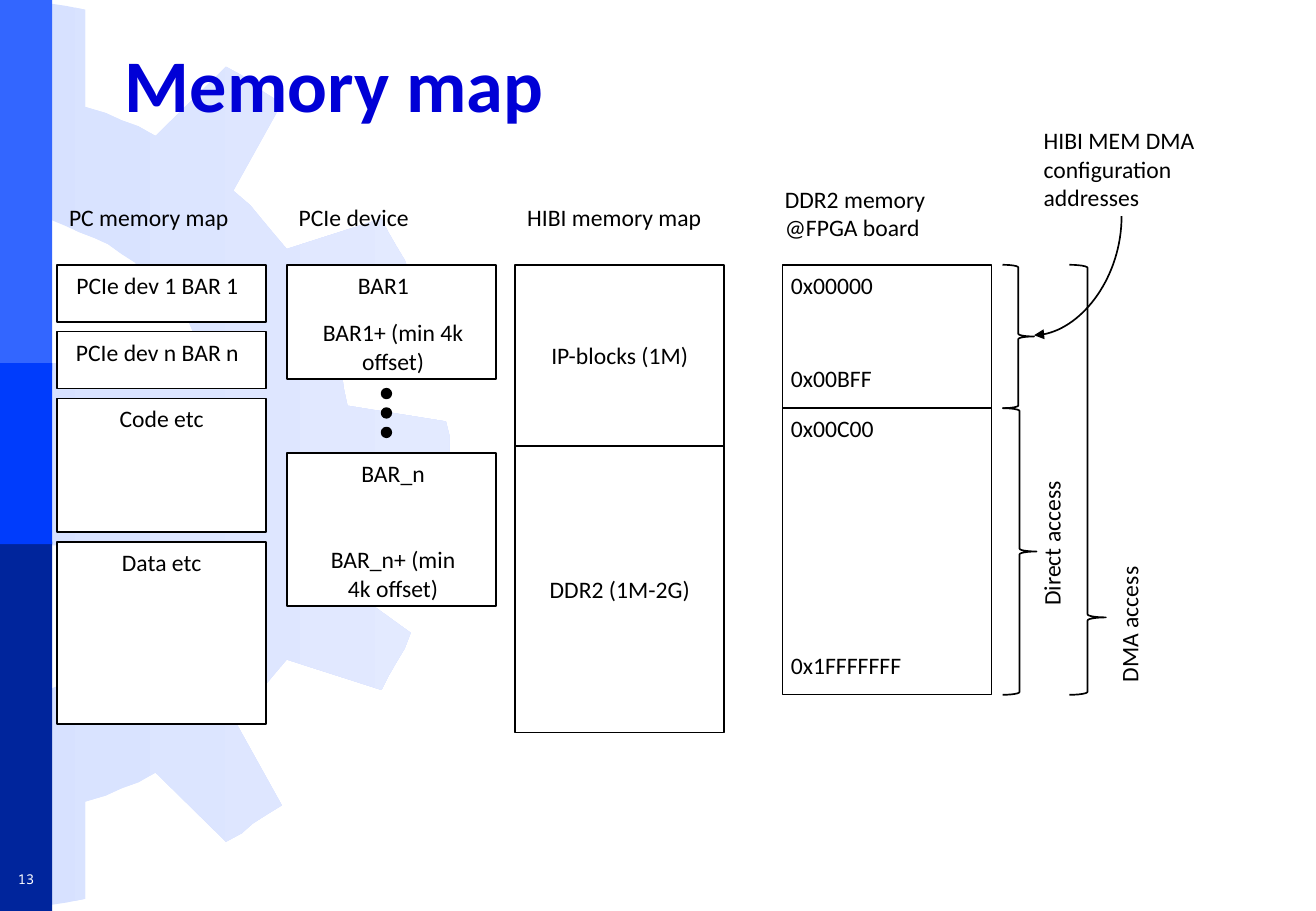
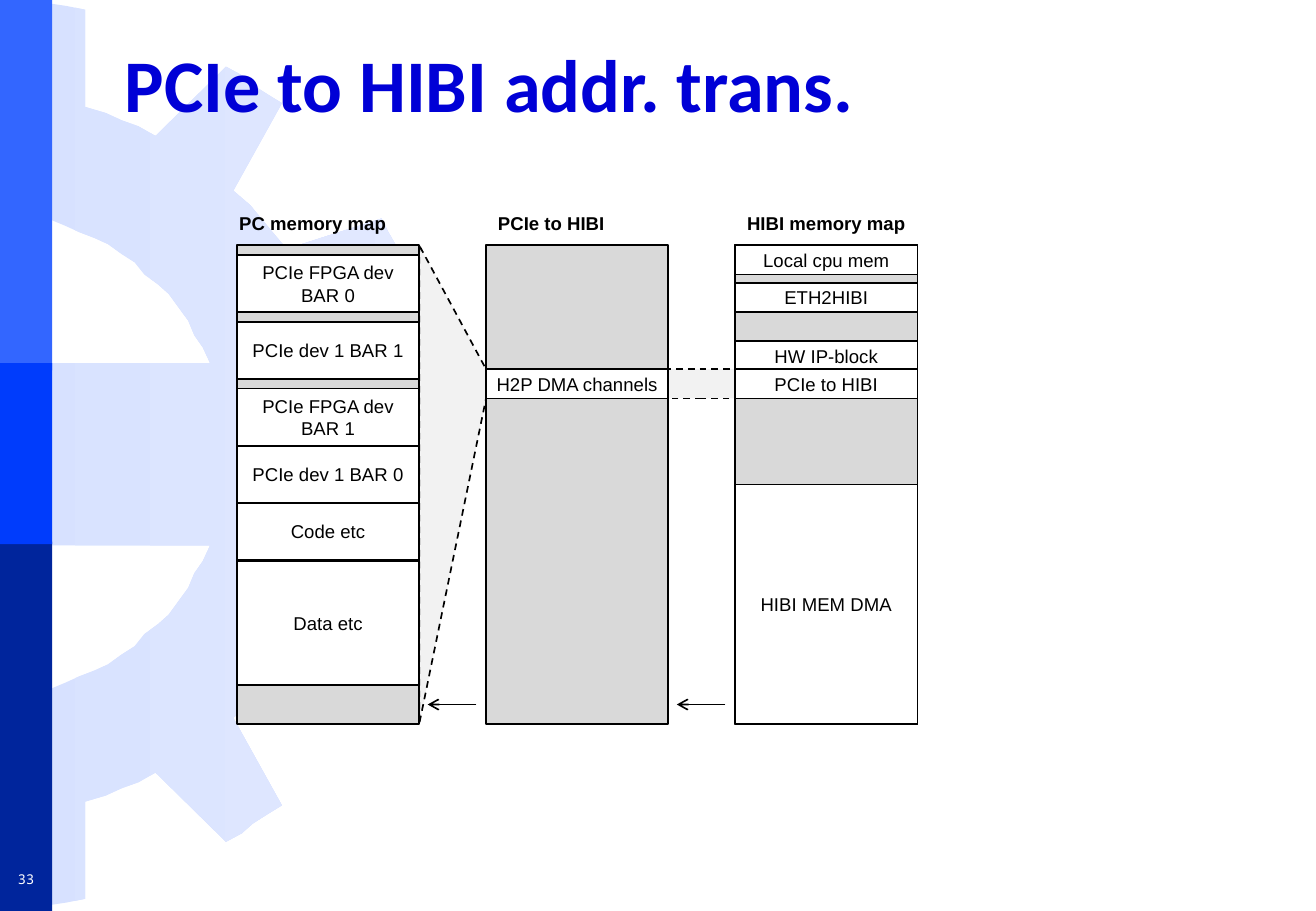
from typing import NamedTuple

from lxml import etree
from pptx import Presentation
from pptx.dml.color import RGBColor
from pptx.enum.dml import MSO_LINE
from pptx.enum.shapes import MSO_CONNECTOR, MSO_SHAPE
from pptx.enum.text import MSO_ANCHOR, PP_ALIGN
from pptx.oxml.ns import qn
from pptx.shapes.autoshape import Shape
from pptx.shapes.connector import Connector
from pptx.slide import Slide
from pptx.util import Inches, Pt

RECTANGLE, ELLIPSE, BRACE = MSO_SHAPE.RECTANGLE, MSO_SHAPE.OVAL, MSO_SHAPE.LEFT_BRACE
STRAIGHT, CURVE = MSO_CONNECTOR.STRAIGHT, MSO_CONNECTOR.CURVE
LEFT, CENTER = PP_ALIGN.LEFT, PP_ALIGN.CENTER
TOP, MIDDLE = MSO_ANCHOR.TOP, MSO_ANCHOR.MIDDLE
DASH = MSO_LINE.DASH

BLACK = RGBColor(0x00, 0x00, 0x00)
WHITE = RGBColor(0xFF, 0xFF, 0xFF)
TITLE_BLUE = RGBColor(0x00, 0x00, 0xD6)
BAND_LIGHT = RGBColor(0x33, 0x66, 0xFF)
BAND_MIDDLE = RGBColor(0x00, 0x3C, 0xFC)
BAND_DARK = RGBColor(0x00, 0x25, 0x9C)
GEAR_START = RGBColor(0xD7, 0xE1, 0xFF)
GEAR_END = RGBColor(0xE3, 0xEA, 0xFF)
UNUSED_GRAY = RGBColor(0xD9, 0xD9, 0xD9)
FUNNEL_GRAY = RGBColor(0xF2, 0xF2, 0xF2)

SANS, DIAGRAM_SANS, MONO = "Calibri", "Arial", "Noto Sans Mono"
BAND_WIDTH = 0.43

# Upper half of the gear: teeth from the right-hand tip, then the inner rim.
GEAR_HEIGHT = 7.48
GEAR_HALF = [
    (3.7, 3.73), (3.7, 3.59), (3.67, 3.47), (2.86, 3.34), (2.83, 3.2), (2.81, 3.05),
    (2.75, 2.91), (2.73, 2.74), (3.38, 2.27), (3.33, 2.14), (3.27, 2.04), (3.2, 1.92),
    (3.14, 1.8), (2.36, 2.05), (2.25, 1.92), (2.15, 1.8), (2.06, 1.69), (1.92, 1.57),
    (2.32, 0.85), (2.19, 0.77), (2.08, 0.7), (1.99, 0.62), (1.86, 0.55), (1.28, 1.12),
    (1.14, 1.04), (1, 0.99), (0.87, 0.93), (0.7, 0.88), (0.7, 0.08), (0.55, 0.05),
    (0.42, 0.03), (0.29, 0.01), (0.14, 0), (0.14, 1.76), (0.28, 1.8), (0.42, 1.81),
    (0.54, 1.86), (0.65, 1.91), (0.78, 1.96), (0.89, 2.01), (1, 2.09), (1.11, 2.16),
    (1.19, 2.26), (1.3, 2.34), (1.39, 2.42), (1.47, 2.53), (1.55, 2.64), (1.6, 2.76),
    (1.67, 2.86), (1.73, 2.99), (0, 2.99),
]


class Area(NamedTuple):
    left: float
    top: float
    width: float
    height: float


class Label(NamedTuple):
    text: str
    area: Area
    align: PP_ALIGN = LEFT
    rotation: int = 0


class Block(NamedTuple):
    text: str
    top: float
    height: float
    wrap: bool = False


class Column(NamedTuple):
    heading: str
    heading_left: float
    left: float
    blocks: list[Block]


class Brace(NamedTuple):
    area: Area
    tip: float = 0.5


def write_text(shape: Shape, text: str, *, size: float = 14, font: str = SANS,
               color: RGBColor = BLACK, bold: bool = False, align: PP_ALIGN = LEFT,
               anchor: MSO_ANCHOR = TOP, wrap: bool = True) -> None:
    frame = shape.text_frame
    frame.word_wrap = wrap
    frame.vertical_anchor = anchor
    para = frame.paragraphs[0]
    para.alignment = align
    span = para.add_run()
    span.text = text
    span.font.size = Pt(size)
    span.font.name = font
    span.font.bold = bold
    span.font.color.rgb = color


def add_text_box(page: Slide, area: Area) -> Shape:
    return page.shapes.add_textbox(*map(Inches, area))


def paint(shape: Shape, fill: RGBColor | None, line: RGBColor | None = BLACK,
          dash: MSO_LINE | None = None) -> None:
    shape.shadow.inherit = False
    if fill is None:
        shape.fill.background()
    else:
        shape.fill.solid()
        shape.fill.fore_color.rgb = fill
    if line is None:
        shape.line.fill.background()
    else:
        shape.line.color.rgb = line
        shape.line.width = Pt(1)
        shape.line.dash_style = dash


def add_box(page: Slide, area: Area, fill: RGBColor | None = WHITE,
            line: RGBColor | None = BLACK, kind: MSO_SHAPE = RECTANGLE,
            dash: MSO_LINE | None = None) -> Shape:
    box = page.shapes.add_shape(kind, *map(Inches, area))
    paint(box, fill, line, dash)
    return box


def add_outline(page: Slide, points: list[tuple[float, float]]) -> Shape:
    """Draw a closed polygon through points given in inches."""
    corners = [(Inches(x), Inches(y)) for x, y in points]
    builder = page.shapes.build_freeform(*corners[0])
    builder.add_line_segments(corners[1:], close=True)
    return builder.convert_to_shape()


def add_arrow(page: Slide, kind: MSO_CONNECTOR, start: tuple[float, float],
              end: tuple[float, float], head: str) -> Connector:
    arrow = page.shapes.add_connector(kind, *map(Inches, start + end))
    arrow.line.color.rgb = BLACK
    arrow.line.width = Pt(1)
    line = arrow.line._get_or_add_ln()
    etree.SubElement(line, qn("a:tailEnd"), type=head)
    etree.SubElement(arrow._element.spPr, qn("a:effectLst"))
    return arrow


def add_backdrop(page: Slide) -> None:
    """Draw the gear and the three side bands."""
    lower_half = [(x, GEAR_HEIGHT - y) for x, y in reversed(GEAR_HALF)]
    gear = add_outline(page, GEAR_HALF + lower_half)
    paint(gear, None, None)
    gear.fill.gradient()
    gear.fill.gradient_angle = 0
    for stop, color in zip(gear.fill.gradient_stops, (GEAR_START, GEAR_END)):
        stop.color.rgb = color
    for top, height, color in ((0, 3.05, BAND_LIGHT), (4.46, 3.04, BAND_DARK),
                               (2.99, 1.49, BAND_MIDDLE)):
        add_box(page, Area(0, top, BAND_WIDTH, height), color, None)


def add_title_and_number(page: Slide, title: str, number: int) -> None:
    write_text(add_text_box(page, Area(0.93, 0.21, 9.39, 0.94)), title,
               size=44, color=TITLE_BLUE, bold=True, anchor=MIDDLE)
    write_text(add_text_box(page, Area(0, 7.11, BAND_WIDTH, 0.26)), str(number), size=8,
               font=MONO, color=WHITE, align=CENTER, anchor=MIDDLE, wrap=False)


MAP_WIDTH = 1.72
PC_LEFT, DEVICE_LEFT, HIBI_LEFT, DDR_LEFT = 0.47, 2.36, 4.24, 6.44
MAP_TOP = 2.18

MAP_BOXES = [Area(left, top, MAP_WIDTH, height) for left, top, height in (
    (PC_LEFT, MAP_TOP, 0.47), (PC_LEFT, 2.73, 0.47), (PC_LEFT, 3.28, 1.1),
    (PC_LEFT, 4.46, 1.5),
    (DEVICE_LEFT, MAP_TOP, 0.94), (DEVICE_LEFT, 3.73, 1.26),
    (HIBI_LEFT, MAP_TOP, 1.5), (HIBI_LEFT, 3.67, 2.36),
    (DDR_LEFT, MAP_TOP, 1.18), (DDR_LEFT, 3.36, 2.36),
)]

MAP_LABELS = [
    Label("PC memory map", Area(PC_LEFT, 1.62, 1.64, 0.39)),
    Label("PCIe device", Area(DEVICE_LEFT, 1.62, 1.64, 0.39)),
    Label("HIBI memory map", Area(HIBI_LEFT, 1.62, 1.64, 0.39)),
    Label("DDR2 memory @FPGA board", Area(6.36, 1.47, MAP_WIDTH, 0.51)),
    Label("HIBI MEM DMA configuration addresses", Area(8.49, 0.99, 1.48, 0.79)),
    Label("PCIe dev 1 BAR 1", Area(PC_LEFT, MAP_TOP, 1.65, 0.34), CENTER),
    Label("PCIe dev n BAR n", Area(PC_LEFT, 2.73, 1.65, 0.34), CENTER),
    Label("Code etc", Area(PC_LEFT, 3.28, MAP_WIDTH, 0.34), CENTER),
    Label("Data etc", Area(PC_LEFT, 4.46, MAP_WIDTH, 0.34), CENTER),
    Label("BAR1", Area(2.43, MAP_TOP, 1.45, 0.34), CENTER),
    Label("BAR1+ (min 4k offset)", Area(2.51, 2.57, 1.45, 0.57), CENTER),
    Label("BAR_n", Area(2.51, 3.73, 1.45, 0.34), CENTER),
    Label("BAR_n+ (min 4k offset)", Area(2.51, 4.44, 1.45, 0.57), CENTER),
    Label("IP-blocks (1M)", Area(HIBI_LEFT, 2.76, MAP_WIDTH, 0.34), CENTER),
    Label("DDR2 (1M-2G)", Area(HIBI_LEFT, 4.68, MAP_WIDTH, 0.34), CENTER),
    Label("0x00000", Area(6.41, MAP_TOP, 1.45, 0.34)),
    Label("0x00BFF", Area(6.41, 2.95, 1.45, 0.34)),
    Label("0x00C00", Area(6.41, 3.36, 1.45, 0.34)),
    Label("0x1FFFFFFF", Area(6.41, 5.31, 1.45, 0.34)),
    Label("Direct access", Area(7.97, 4.26, 1.34, 0.31), rotation=270),
    Label("DMA access", Area(8.61, 4.89, 1.34, 0.31), rotation=270),
]

BRACES = [Brace(Area(8.25, MAP_TOP, 0.26, 1.18)), Brace(Area(8.25, 3.36, 0.28, 2.36)),
          Brace(Area(8.8, MAP_TOP, 0.3, 3.54), tip=0.18)]


def build_memory_map(page: Slide) -> None:
    for area in MAP_BOXES:
        add_box(page, area)
    for step in range(3):
        add_box(page, Area(3.14, 3.2 + 0.16 * step, 0.08, 0.08), BLACK, kind=ELLIPSE)
    for label in MAP_LABELS:
        box = add_text_box(page, label.area)
        box.rotation = label.rotation
        write_text(box, label.text, align=label.align)
    for item in BRACES:
        brace = add_box(page, item.area, None, kind=BRACE)
        brace.rotation = 180
        brace.adjustments[1] = item.tip
    # A quarter curve turned by 90 degrees leaves downwards and arrives leftwards.
    curve = add_arrow(page, CURVE, (8.38, 1.91), (9.36, 2.63), "triangle")
    properties = curve._element.spPr
    properties.find(qn("a:xfrm")).set("rot", "5400000")
    properties.find(qn("a:prstGeom")).set("prst", "curvedConnector2")


COLUMN_TOP, COLUMN_WIDTH, COLUMN_HEIGHT = 2.02, 1.5, 3.94
SMALL, LARGE = 0.24, 0.47
CHANNEL_TOP = 3.04
PC_COLUMN = Column("PC memory map", 1.87, 1.95, [
    Block("PCIe FPGA dev BAR 0", 2.1, LARGE, wrap=True),
    Block("PCIe dev 1 BAR 1", 2.65, LARGE),
    Block("PCIe FPGA dev BAR 1", 3.2, LARGE, wrap=True),
    Block("PCIe dev 1 BAR 0", 3.67, LARGE),
    Block("Code etc", 4.14, LARGE),
    Block("Data etc", 4.62, 1.02),
])
BRIDGE_COLUMN = Column("PCIe to HIBI", 4, 4, [
    Block("H2P DMA channels", CHANNEL_TOP, SMALL),
])
HIBI_COLUMN = Column("HIBI memory map", 6.05, 6.05, [
    Block("Local cpu mem", COLUMN_TOP, SMALL),
    Block("ETH2HIBI", 2.33, SMALL),
    Block("HW IP-block", 2.81, SMALL),
    Block("PCIe to HIBI", CHANNEL_TOP, SMALL),
    Block("HIBI MEM DMA", 3.99, 1.97),
])


def add_column(page: Slide, column: Column) -> None:
    write_text(add_text_box(page, Area(column.heading_left, 1.7, 1.64, 0.24)),
               column.heading, size=11, font=DIAGRAM_SANS, bold=True)
    add_box(page, Area(column.left, COLUMN_TOP, COLUMN_WIDTH, COLUMN_HEIGHT), UNUSED_GRAY)
    for block in column.blocks:
        box = add_box(page, Area(column.left, block.top, COLUMN_WIDTH, block.height))
        write_text(box, block.text, size=11, font=DIAGRAM_SANS, align=CENTER,
                   anchor=MIDDLE, wrap=block.wrap)


def build_address_translation(page: Slide) -> None:
    pc_right = PC_COLUMN.left + COLUMN_WIDTH
    bridge_right = BRIDGE_COLUMN.left + COLUMN_WIDTH
    funnel = add_outline(page, [
        (pc_right, COLUMN_TOP), (pc_right, COLUMN_TOP + COLUMN_HEIGHT),
        (BRIDGE_COLUMN.left, CHANNEL_TOP + SMALL), (BRIDGE_COLUMN.left, CHANNEL_TOP)])
    paint(funnel, FUNNEL_GRAY, dash=DASH)
    add_box(page, Area(bridge_right, CHANNEL_TOP, HIBI_COLUMN.left - bridge_right, SMALL),
            FUNNEL_GRAY, dash=DASH)
    for column in (PC_COLUMN, BRIDGE_COLUMN, HIBI_COLUMN):
        add_column(page, column)
    for column in (BRIDGE_COLUMN, HIBI_COLUMN):
        start = column.left - 0.08
        add_arrow(page, STRAIGHT, (start, 5.8), (start - 0.4, 5.8), "arrow")


def main() -> None:
    deck = Presentation()
    deck.slide_width, deck.slide_height = Inches(10.83), Inches(7.5)
    for title, number, build in (
            ("Memory map", 13, build_memory_map),
            ("PCIe to HIBI addr. trans.", 33, build_address_translation)):
        page = deck.slides.add_slide(deck.slide_layouts[6])
        add_backdrop(page)
        add_title_and_number(page, title, number)
        build(page)
    deck.save("out.pptx")


if __name__ == "__main__":
    main()
